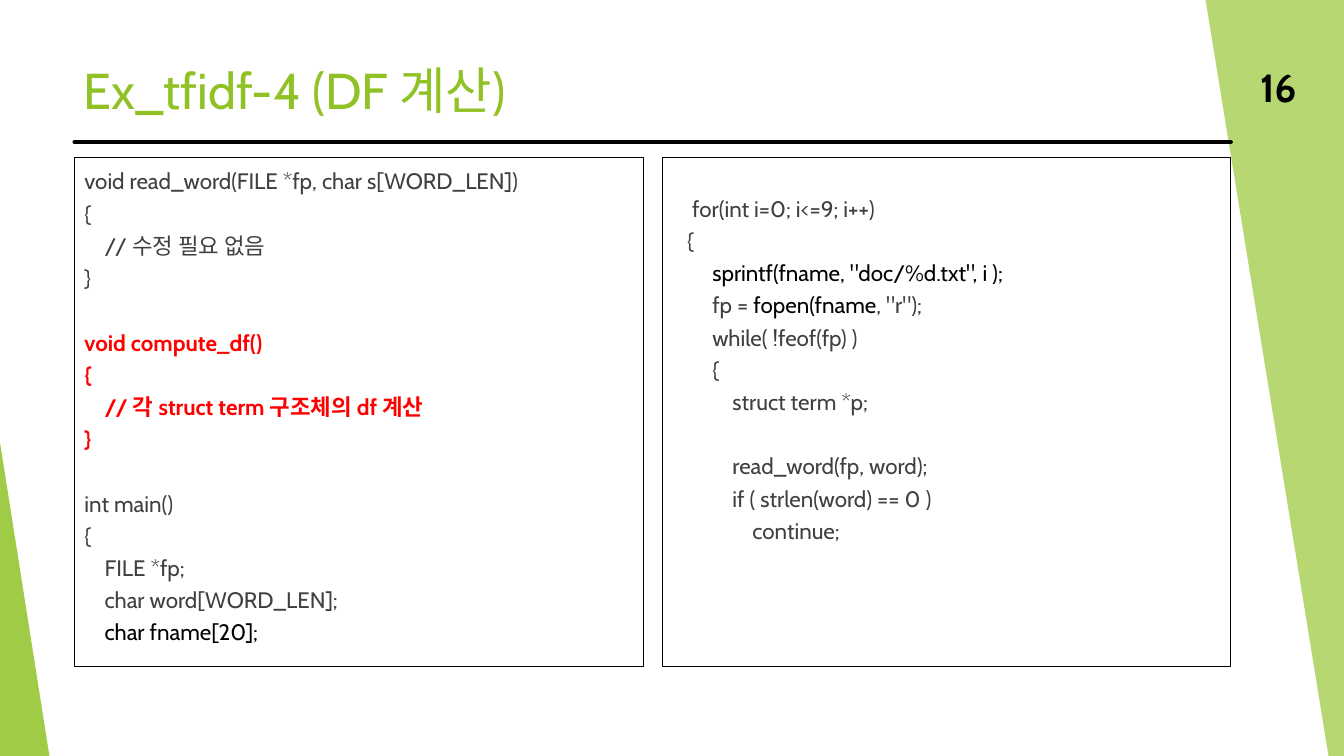
import dataclasses

import lxml.etree
import pptx
import pptx.dml.color
import pptx.enum.shapes
import pptx.enum.text
import pptx.oxml.ns
import pptx.util

ALIGN = pptx.enum.text.PP_ALIGN
ANCHOR = pptx.enum.text.MSO_ANCHOR


@dataclasses.dataclass(frozen=True)
class Theme:
    font: str = "Cabin"
    green: str = "90C226"
    gray: str = "404040"
    black: str = "000000"
    red: str = "FF0000"
    title_size: int = 36
    number_size: int = 28
    code_size: int = 16
    code_spacing: float = 1.2
    blank_line: int = 23


THEME = Theme()
CELL = 0.1
COLUMNS, ROWS = 133.33, 75
LEFT, PANEL_WIDTH, GUTTER = 7.4, 56.4, 1.9
PANEL_TOP, PANEL_HEIGHT = 15.6, 50.5
RIGHT = LEFT + 2 * PANEL_WIDTH + GUTTER

DEFINITIONS = [
    [("void read_word(FILE *fp, char s[WORD_LEN])", THEME.gray)],
    [("{", THEME.gray)],
    [("    // 수정 필요 없음", THEME.gray)],
    [("}", THEME.gray)],
    [],
    [("void compute_df()", THEME.red)],
    [("{", THEME.red)],
    [("    // 각 struct term 구조체의 df 계산", THEME.red)],
    [("}", THEME.red)],
    [],
    [("int main()", THEME.gray)],
    [("{", THEME.gray)],
    [("    FILE *fp;", THEME.gray)],
    [("    char word[WORD_LEN];", THEME.gray)],
    [("    char fname[20];", THEME.black)],
]
READING_LOOP = [
    [("    for(int i=0; i<=9; i++)", THEME.gray)],
    [("   {", THEME.gray)],
    [("        sprintf(fname, \"doc/%d.txt\", i );", THEME.black)],
    [("        fp = ", THEME.gray), ("fopen(fname", THEME.black), (", \"r\");", THEME.gray)],
    [("        while( !feof(fp) )", THEME.gray)],
    [("        {", THEME.gray)],
    [("            struct term *p;", THEME.gray)],
    [],
    [("            read_word(fp, word);", THEME.gray)],
    [("            if ( strlen(word) == 0 )", THEME.gray)],
    [("                continue;", THEME.gray)],
]


def cells(count):
    return pptx.util.Inches(count * CELL)


def area(*counts):
    return [cells(count) for count in counts]


def color(value):
    return pptx.dml.color.RGBColor.from_string(value)


def add_element(parent, tag, **attributes):
    return lxml.etree.SubElement(parent, pptx.oxml.ns.qn(tag), **attributes)


def write(para, text, size, tone, bold=False):
    span = para.add_run()
    span.text = text
    span.font.name = THEME.font
    span.font.size = pptx.util.Pt(size)
    span.font.bold = bold
    span.font.color.rgb = color(tone)


def prepare_frame(box, anchor, top=0.5):
    frame = box.text_frame
    frame.word_wrap = True
    frame.auto_size = pptx.enum.text.MSO_AUTO_SIZE.NONE
    frame.vertical_anchor = anchor
    frame.margin_left = frame.margin_right = cells(1)
    frame.margin_top, frame.margin_bottom = cells(top), cells(0.5)
    return frame


def paint_green(shape, opacity):
    shape.shadow.inherit = False
    shape.fill.solid()
    shape.fill.fore_color.rgb = color(THEME.green)
    shape.line.fill.background()
    fill = shape.fill._xPr.find(pptx.oxml.ns.qn("a:solidFill"))
    add_element(fill[0], "a:alpha", val=str(opacity * 1000))


def add_side_bands(page):
    builder = page.shapes.build_freeform(cells(119.6), 0)
    corners = [(COLUMNS, 0), (COLUMNS, ROWS), (131.8, ROWS)]
    builder.add_line_segments([area(*corner) for corner in corners], close=True)
    paint_green(builder.convert_to_shape(), 65)
    wedge = page.shapes.add_shape(
        pptx.enum.shapes.MSO_SHAPE.ISOSCELES_TRIANGLE, *area(0, 43.9, 4.9, 31.1))
    wedge.adjustments[0] = 0
    paint_green(wedge, 85)


def add_rule(page):
    rule = page.shapes.add_connector(
        pptx.enum.shapes.MSO_CONNECTOR.STRAIGHT, *area(LEFT, 14.1, RIGHT, 14.1))
    rule.line.color.rgb = color(THEME.black)
    rule.line.width = pptx.util.Pt(3)
    rule.line._get_or_add_ln().set("cap", "rnd")
    add_element(rule._element.spPr, "a:effectLst")


def add_title(page, text):
    title = page.shapes.title
    title.left, title.top, title.width, title.height = area(7.3, 4.9, 111.2, 8)
    para = prepare_frame(title, ANCHOR.MIDDLE).paragraphs[0]
    para.alignment = ALIGN.LEFT
    write(para, text, THEME.title_size, THEME.green)


def add_page_number(page, text):
    box = page.shapes.add_textbox(*area(RIGHT, 6.6, 7.5, 4))
    para = prepare_frame(box, ANCHOR.MIDDLE).paragraphs[0]
    para.alignment = ALIGN.RIGHT
    write(para, text, THEME.number_size, THEME.black, bold=True)


def add_code_panel(page, column, lines, top):
    panel = page.shapes.add_shape(
        pptx.enum.shapes.MSO_SHAPE.RECTANGLE,
        *area(LEFT + column * (PANEL_WIDTH + GUTTER), PANEL_TOP, PANEL_WIDTH, PANEL_HEIGHT))
    panel.shadow.inherit = False
    panel.fill.background()
    panel.line.color.rgb = color(THEME.black)
    panel.line.width = pptx.util.Pt(0.75)
    frame = prepare_frame(panel, ANCHOR.TOP, top)
    for index, line in enumerate(lines):
        if not line:
            continue
        para = frame.add_paragraph() if index else frame.paragraphs[0]
        para.alignment = ALIGN.LEFT
        para.line_spacing = THEME.code_spacing
        if index and not lines[index - 1]:
            para.space_before = pptx.util.Pt(THEME.blank_line)
        for text, tone in line:
            write(para, text, THEME.code_size, tone, bold=tone == THEME.red)


def main():
    deck = pptx.Presentation()
    deck.slide_width, deck.slide_height = area(COLUMNS, ROWS)
    page = deck.slides.add_slide(deck.slide_layouts[5])
    add_side_bands(page)
    add_rule(page)
    add_title(page, "Ex_tfidf-4 (DF 계산)")
    add_code_panel(page, 0, DEFINITIONS, top=0.5)
    add_code_panel(page, 1, READING_LOOP, top=3.2)
    add_page_number(page, "16")
    deck.save("out.pptx")


if __name__ == "__main__":
    main()
